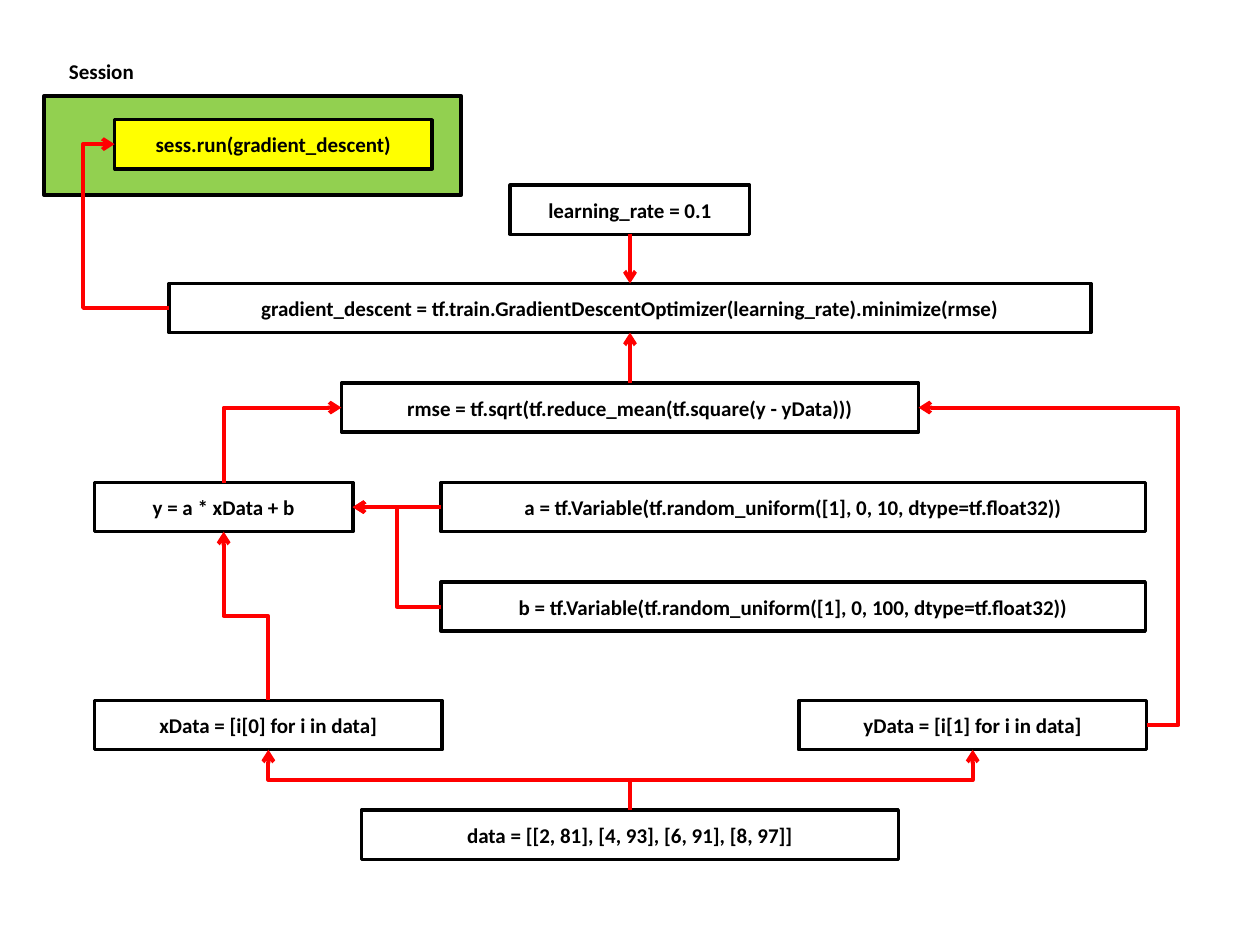
from lxml import etree
from pptx import Presentation
from pptx.dml.color import RGBColor
from pptx.enum.shapes import MSO_CONNECTOR, MSO_SHAPE
from pptx.enum.text import MSO_ANCHOR, PP_ALIGN
from pptx.oxml.ns import qn
from pptx.util import Inches, Pt

RECTANGLE = MSO_SHAPE.RECTANGLE
STRAIGHT, ELBOW = MSO_CONNECTOR.STRAIGHT, MSO_CONNECTOR.ELBOW
MIDDLE, CENTER = MSO_ANCHOR.MIDDLE, PP_ALIGN.CENTER
TOP, LEFT, BOTTOM, RIGHT = range(4)

THEME = {
    "font": "Calibri", "size": Pt(12),
    "ink": RGBColor(0, 0, 0), "arrow": RGBColor(255, 0, 0),
    "session": RGBColor(0x92, 0xD0, 0x50), "run": RGBColor(255, 255, 0),
    "box_line": Pt(2), "arrow_line": Pt(2.25),
}
BOX_HEIGHT = 0.39

SESSION_LABEL = ("Session", 0.35, 0.37, 0.91)
SESSION_AREA = (0.35, 0.76, 3.31, 0.79)
BOXES = {
    "run": ("sess.run(gradient_descent)", 0.91, 0.95, 2.52),
    "rate": ("learning_rate = 0.1", 4.05, 1.47, 1.9),
    "descent": ("gradient_descent = tf.train.GradientDescentOptimizer(learning_rate).minimize(rmse)",
                1.34, 2.25, 7.32),
    "rmse": ("rmse = tf.sqrt(tf.reduce_mean(tf.square(y - yData)))", 2.71, 3.04, 4.58),
    "y": ("y = a * xData + b", 0.75, 3.83, 2.05),
    "a": ("a = tf.Variable(tf.random_uniform([1], 0, 10, dtype=tf.float32))", 3.5, 3.83, 5.59),
    "b": ("b = tf.Variable(tf.random_uniform([1], 0, 100, dtype=tf.float32))", 3.5, 4.62, 5.59),
    "x_data": ("xData = [i[0] for i in data]", 0.75, 5.56, 2.76),
    "y_data": ("yData = [i[1] for i in data]", 6.34, 5.56, 2.76),
    "data": ("data = [[2, 81], [4, 93], [6, 91], [8, 97]]", 2.87, 6.43, 4.26),
}
STRAIGHT_ARROWS = [
    ("rate", BOTTOM, "descent", TOP),
    ("rmse", TOP, "descent", BOTTOM),
    ("a", LEFT, "y", RIGHT),
]
BENT_ARROWS = [
    ("y", TOP, "rmse", LEFT, None),
    ("b", LEFT, "y", RIGHT, 0.5),
    ("x_data", TOP, "y", BOTTOM, 0.5),
    ("y_data", RIGHT, "rmse", RIGHT, -0.14),
    ("data", TOP, "x_data", BOTTOM, 0.5),
    ("data", TOP, "y_data", BOTTOM, 0.5),
    ("descent", LEFT, "run", LEFT, 1.58),
]


def write(shape, text):
    frame = shape.text_frame
    frame.word_wrap = True
    frame.vertical_anchor = MIDDLE
    para = frame.paragraphs[0]
    para.text = text
    para.alignment = CENTER
    para.font.name = THEME["font"]
    para.font.size = THEME["size"]
    para.font.bold = True
    para.font.color.rgb = THEME["ink"]


def add_box(page, left, top, width, height, fill=None):
    box = page.shapes.add_shape(RECTANGLE, *map(Inches, (left, top, width, height)))
    box.shadow.inherit = False
    if fill is None:
        box.fill.background()
    else:
        box.fill.solid()
        box.fill.fore_color.rgb = fill
    box.line.color.rgb = THEME["ink"]
    box.line.width = THEME["box_line"]
    return box


def add_arrow(page, kind, source, source_side, target, target_side):
    arrow = page.shapes.add_connector(kind, 0, 0, 0, 0)
    arrow.begin_connect(source, source_side)
    arrow.end_connect(target, target_side)
    arrow.line.color.rgb = THEME["arrow"]
    arrow.line.width = THEME["arrow_line"]
    properties = arrow._element.spPr
    etree.SubElement(properties.find(qn("a:ln")), qn("a:tailEnd"), type="arrow")
    etree.SubElement(properties, qn("a:effectLst"))
    return arrow


def turn_upward(arrow):
    start_x, start_y, end_x, end_y = arrow.begin_x, arrow.begin_y, arrow.end_x, arrow.end_y
    width, height = abs(end_y - start_y), abs(end_x - start_x)
    arrow.left = (start_x + end_x - width) // 2
    arrow.top = (start_y + end_y - height) // 2
    arrow.width, arrow.height = width, height
    frame = arrow._element.spPr.find(qn("a:xfrm"))
    frame.set("rot", "16200000")
    frame.set("flipH", "0")
    frame.set("flipV", "1" if end_x < start_x else "0")


def set_bend(arrow, bend):
    geometry = arrow._element.spPr.find(qn("a:prstGeom"))
    if bend is None:
        geometry.set("prst", "bentConnector2")
    else:
        guides = geometry.find(qn("a:avLst"))
        etree.SubElement(guides, qn("a:gd"), name="adj1", fmla=f"val {round(bend * 100000)}")


deck = Presentation()
deck.slide_width, deck.slide_height = Inches(10), Inches(7.5)
page = deck.slides.add_slide(deck.slide_layouts[6])

add_box(page, *SESSION_AREA, fill=THEME["session"])
boxes = {}
for name, (text, left, top, width) in BOXES.items():
    boxes[name] = add_box(page, left, top, width, BOX_HEIGHT, THEME.get(name))
    write(boxes[name], text)

text, left, top, width = SESSION_LABEL
write(page.shapes.add_textbox(*map(Inches, (left, top, width, BOX_HEIGHT))), text)

for source, source_side, target, target_side in STRAIGHT_ARROWS:
    add_arrow(page, STRAIGHT, boxes[source], source_side, boxes[target], target_side)

for source, source_side, target, target_side, bend in BENT_ARROWS:
    arrow = add_arrow(page, ELBOW, boxes[source], source_side, boxes[target], target_side)
    if source_side == TOP:
        turn_upward(arrow)
    set_bend(arrow, bend)

deck.save("out.pptx")
